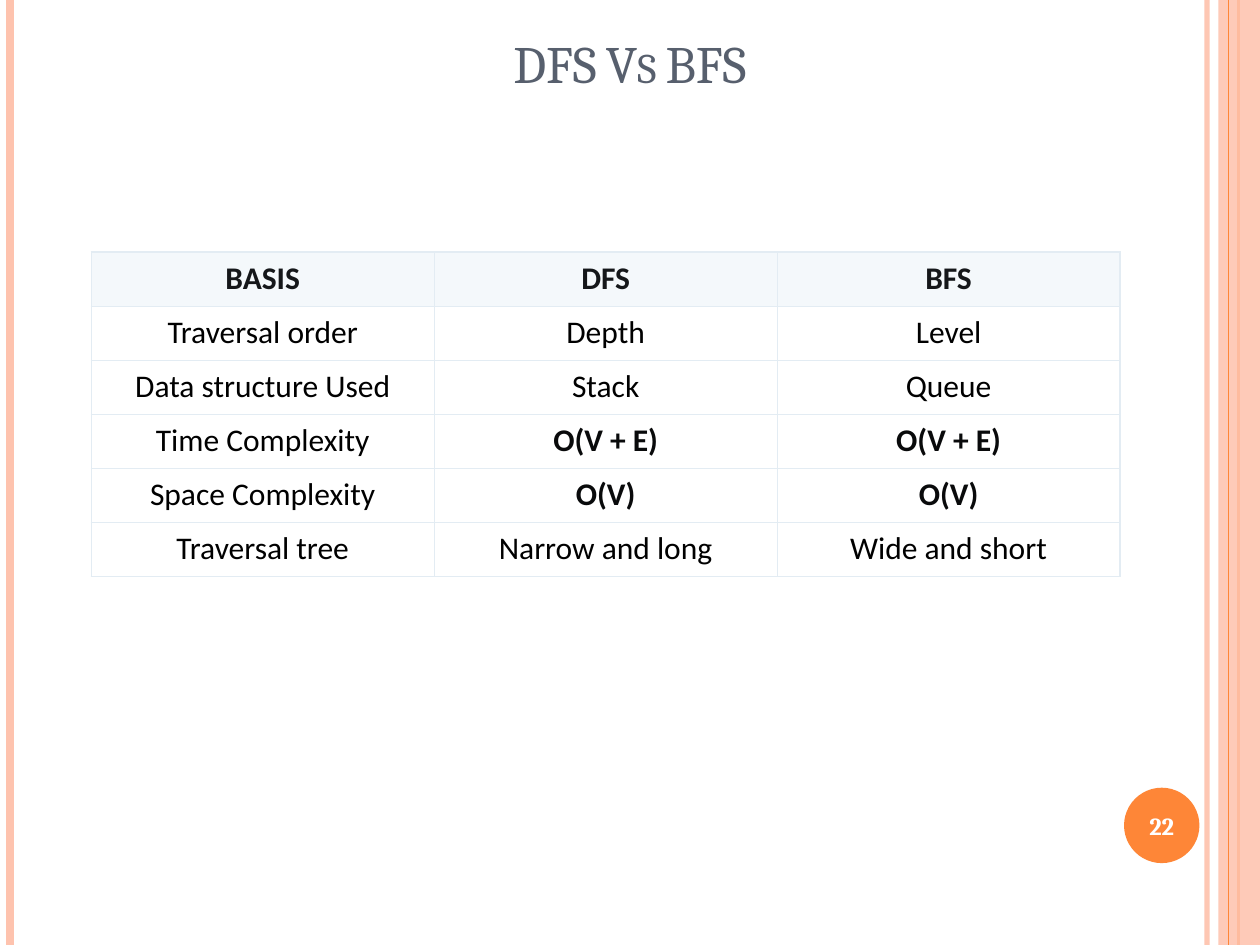
import pptx
import pptx.util
import pptx.dml.color
import pptx.enum.shapes
import pptx.enum.text
import pptx.oxml
import pptx.oxml.ns
import lxml.etree

Cm = pptx.util.Cm
Pt = pptx.util.Pt
Shape = pptx.enum.shapes.MSO_SHAPE
Anchor = pptx.enum.text.MSO_ANCHOR
qn = pptx.oxml.ns.qn

HUES = {
    "peach": "FEC3AE",
    "orange": "FE8637",
    "slate": "575F6D",
    "white": "FFFFFF",
    "head": "F4F8FB",
    "edge": "E3ECF3",
    "ink": "15171A",
    "bold": "090A0B",
    "black": "000000",
}

ROWS = [
    ("BASIS", "DFS", "BFS"),
    ("Traversal order", "Depth", "Level"),
    ("Data structure Used", "Stack", "Queue"),
    ("Time Complexity", "O(V + E)", "O(V + E)"),
    ("Space Complexity", "O(V)", "O(V)"),
    ("Traversal tree", "Narrow and long", "Wide and short"),
]


def hue(name):
    return pptx.dml.color.RGBColor.from_string(HUES[name])


def fade(part, alpha):
    tint = next(part.iter(qn("a:srgbClr")))
    lxml.etree.SubElement(tint, qn("a:alpha")).set("val", str(alpha * 1000))


def write(frame, text, font, size, color, bold=False):
    para = frame.paragraphs[0]
    run = para.add_run()
    run.text = text
    para.alignment = pptx.enum.text.PP_ALIGN.CENTER
    para.font.name = font
    para.font.size = Pt(size)
    para.font.bold = bold
    para.font.color.rgb = hue(color)
    return run


def add_rule(slide, x, top, high, color, width, alpha=100):
    rule = slide.shapes.add_connector(
        pptx.enum.shapes.MSO_CONNECTOR.STRAIGHT, Cm(x), Cm(top), Cm(x), Cm(top + high)
    )
    rule.line.color.rgb = hue(color)
    rule.line.width = Pt(width)
    props = rule._element.spPr
    if alpha < 100:
        fade(props, alpha)
    lxml.etree.SubElement(props, qn("a:effectLst"))


def add_solid(slide, kind, box, color, alpha=100):
    solid = slide.shapes.add_shape(kind, *map(Cm, box))
    solid.shadow.inherit = False
    solid.fill.solid()
    solid.fill.fore_color.rgb = hue(color)
    solid.line.fill.background()
    if alpha < 100:
        fade(solid._element.spPr, alpha)


def add_label(slide, box, anchor):
    frame = slide.shapes.add_textbox(*map(Cm, box)).text_frame
    frame.word_wrap = True
    frame.vertical_anchor = anchor
    return frame


def add_frame(slide, box):
    left, top, wide, high = box
    right = left + wide
    add_rule(slide, right - 1.07, top, high, "peach", 3, 93)
    add_rule(slide, left + 0.2, top, high, "peach", 4.5)
    add_rule(slide, right - 0.43, top, high, "orange", 1.5)
    add_solid(slide, Shape.RECTANGLE, (right - 0.84, top, 0.84, high), "peach", 87)
    add_rule(slide, right - 0.64, top, high, "orange", 0.75)


def add_title(slide, box):
    frame = add_label(slide, box, Anchor.BOTTOM)
    run = write(frame, "DFS Vs BFS", "Cambria", 30, "slate")
    run._r.get_or_add_rPr().set("cap", "small")


def add_badge(slide, box):
    left, top, wide, high = box
    add_solid(slide, Shape.OVAL, box, "orange")
    frame = add_label(slide, (left - 0.09, top + 0.04, wide + 0.18, high - 0.08), Anchor.MIDDLE)
    write(frame, "22", "Cambria", 14, "white", True)


def add_edges(cell):
    props = cell._tc.get_or_add_tcPr()
    for spot, side in enumerate(("lnL", "lnR", "lnT", "lnB")):
        edge = pptx.oxml.parse_xml(
            f'<a:{side} {pptx.oxml.ns.nsdecls("a")} w="{Pt(0.75)}"><a:solidFill>'
            f'<a:srgbClr val="{HUES["edge"]}"/></a:solidFill></a:{side}>'
        )
        props.insert(spot, edge)


def add_grid(slide, box):
    left, top, wide, high = box
    shape = slide.shapes.add_table(len(ROWS), len(ROWS[0]), *map(Cm, box))
    grid = shape.table
    for col in grid.columns:
        col.width = Cm(wide / len(ROWS[0]))
    for row in grid.rows:
        row.height = Cm(high / len(ROWS))
    for y, texts in enumerate(ROWS):
        for x, text in enumerate(texts):
            cell = grid.cell(y, x)
            cell.margin_left = cell.margin_right = Cm(0.3)
            cell.margin_top = cell.margin_bottom = Cm(0.15)
            if y == 0:
                cell.fill.solid()
                cell.fill.fore_color.rgb = hue("head")
            else:
                cell.fill.background()
            bold = y == 0 or text.startswith("O(")
            color = "ink" if y == 0 else "bold" if bold else "black"
            write(cell.text_frame, text, "Calibri", 18, color, bold)
            add_edges(cell)


def main():
    deck = pptx.Presentation()
    deck.slide_width = Cm(25.4)
    deck.slide_height = Cm(19.05)
    slide = deck.slides.add_slide(deck.slide_layouts[6])
    add_frame(slide, (0, 0, 25.4, 19.05))
    add_title(slide, (1.27, 0.05, 22.86, 1.98))
    add_badge(slide, (22.66, 15.88, 1.52, 1.52))
    add_grid(slide, (1.84, 5.08, 20.74, 6.54))
    deck.save("out.pptx")


if __name__ == "__main__":
    main()
